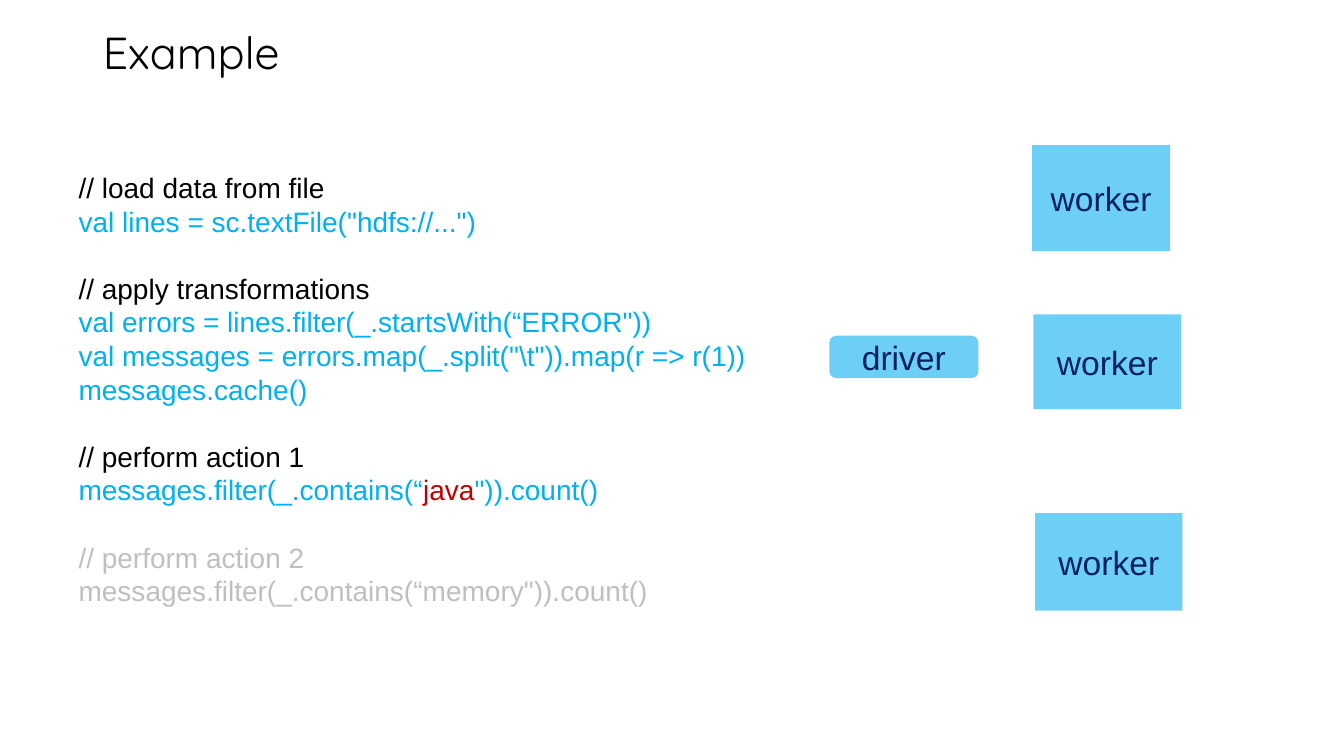
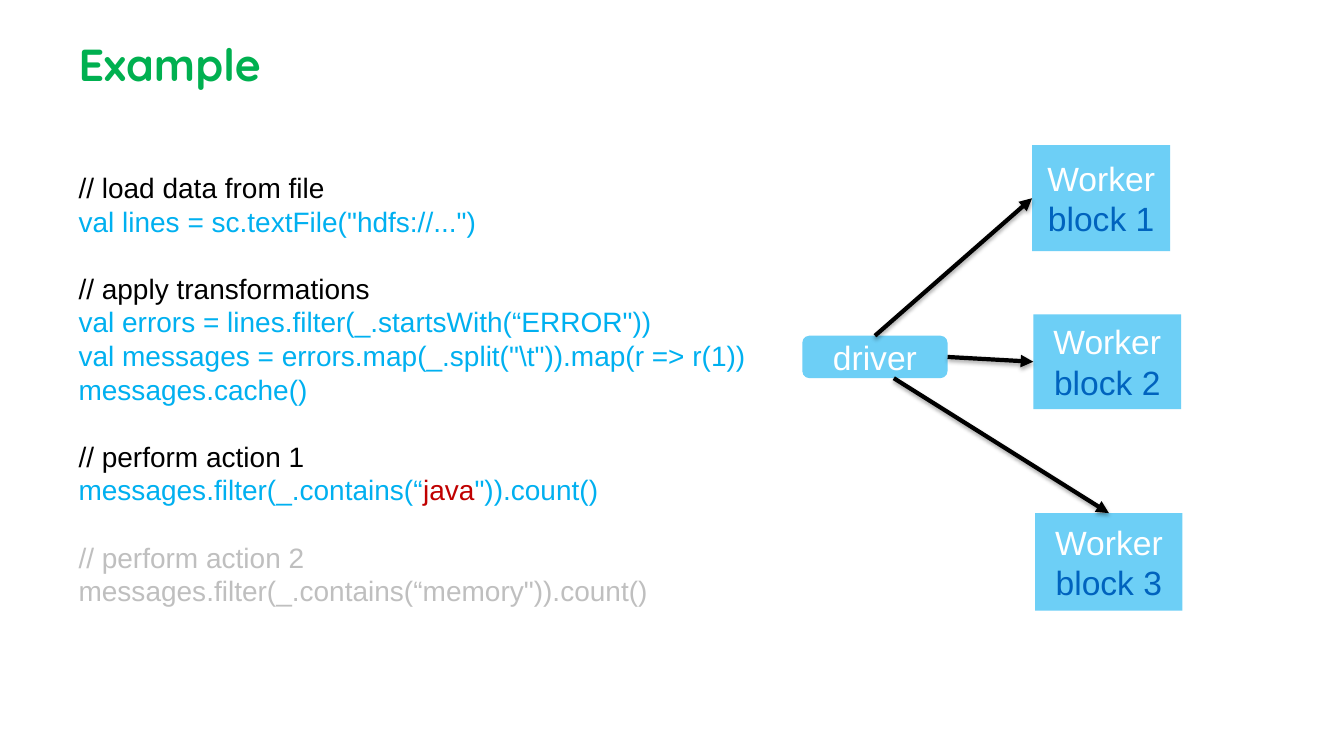
from dataclasses import dataclass
from typing import NamedTuple, Optional

from lxml import etree
from pptx import Presentation
from pptx.dml.color import RGBColor
from pptx.enum.shapes import MSO_CONNECTOR, MSO_SHAPE
from pptx.enum.text import MSO_ANCHOR, PP_ALIGN
from pptx.oxml.ns import qn
from pptx.util import Cm, Pt

RECTANGLE = MSO_SHAPE.RECTANGLE
ROUNDED = MSO_SHAPE.ROUNDED_RECTANGLE
STRAIGHT = MSO_CONNECTOR.STRAIGHT
LEFT, CENTER = PP_ALIGN.LEFT, PP_ALIGN.CENTER
MIDDLE, BOTTOM = MSO_ANCHOR.MIDDLE, MSO_ANCHOR.BOTTOM
TITLE_ONLY = 5

COLOURS = {
    "black": "000000",
    "white": "FFFFFF",
    "green": "00B050",
    "box": "6DCFF6",
    "navy": "002060",
    "blue": "0063BE",
    "code": "00B0F0",
    "highlight": "C00000",
    "faded": "BFBFBF",
}
TITLE_FONT, BODY_FONT = "Quicksand", "Arial"
LINE_PITCH = 1.2  # line height as a multiple of the font size
CODE_SIZE, BOX_SIZE, TITLE_SIZE = 20, 24, 32


class Frame(NamedTuple):
    """Left, top, width and height in centimetres."""
    left: float
    top: float
    width: float
    height: float

    def lengths(self) -> tuple:
        return tuple(Cm(value) for value in self)


class Piece(NamedTuple):
    text: str
    colour: str


@dataclass(frozen=True)
class Box:
    frame: Frame
    lines: tuple
    kind: int = RECTANGLE


@dataclass(frozen=True)
class Arrow:
    """Fractions of the driver and worker boxes, with their connection sites."""
    start: tuple
    start_site: Optional[int]
    end: tuple
    end_site: int


@dataclass(frozen=True)
class Title:
    left: float
    top: float
    colour: str
    bold: bool


# Code listing: blocks of lines, each line made of coloured pieces
CODE_FRAME = Frame(1.73, 4.17, 17.55, 11.38)
CODE_BLOCKS = (
    (
        (Piece("// load data from file", "black"),),
        (Piece('val lines = sc.textFile("hdfs://...")', "code"),),
    ),
    (
        (Piece("// apply transformations", "black"),),
        (Piece('val errors = lines.filter(_.startsWith(“ERROR"))', "code"),),
        (Piece('val messages = errors.map(_.split("\\t")).map(r => r(1))', "code"),),
        (Piece("messages.cache()", "code"),),
    ),
    (
        (Piece("// perform action 1", "black"),),
        (
            Piece("messages.filter(_.contains(“", "code"),
            Piece("java", "highlight"),
            Piece('")).count()', "code"),
        ),
    ),
    (
        (Piece("// perform action 2", "faded"),),
        (Piece('messages.filter(_.contains(“memory")).count()', "faded"),),
    ),
)

# Cluster diagram
WORKER_FRAMES = (
    Frame(26.01, 3.66, 3.48, 2.67),
    Frame(26.04, 7.92, 3.73, 2.39),
    Frame(26.09, 12.93, 3.71, 2.46),
)
ARROWS = (
    Arrow((0.5, 0), 0, (0, 0.5), 1),
    Arrow((1, 0.5), 3, (0, 0.5), 1),
    Arrow((0.63, 1), None, (0.5, 0), 0),
)


def colour(name: str) -> RGBColor:
    return RGBColor.from_string(COLOURS[name])


def format_paragraph(paragraph, size: int, alignment) -> None:
    paragraph.alignment = alignment
    paragraph.line_spacing = Pt(size * LINE_PITCH)
    paragraph.font.size = Pt(size)
    paragraph.font.name = BODY_FONT


def next_paragraph(text_frame, index: int):
    return text_frame.add_paragraph() if index else text_frame.paragraphs[0]


def add_title(slide, title: Title) -> None:
    shape = slide.shapes.title
    frame = Frame(title.left, title.top, 29.21, 2.03)
    shape.left, shape.top, shape.width, shape.height = frame.lengths()
    text_frame = shape.text_frame
    text_frame.vertical_anchor = BOTTOM
    text_frame.margin_left = text_frame.margin_right = Cm(0.25)
    text_frame.margin_top = text_frame.margin_bottom = Cm(0.25)
    text_frame.text = "Example"
    paragraph = text_frame.paragraphs[0]
    paragraph.alignment = LEFT
    paragraph.font.name = TITLE_FONT
    paragraph.font.size = Pt(TITLE_SIZE)
    paragraph.font.bold = title.bold
    paragraph.font.color.rgb = colour(title.colour)


def add_code(slide) -> None:
    text_frame = slide.shapes.add_textbox(*CODE_FRAME.lengths()).text_frame
    text_frame.word_wrap = True
    index = 0
    for block_number, block in enumerate(CODE_BLOCKS):
        for line_number, line in enumerate(block):
            paragraph = next_paragraph(text_frame, index)
            format_paragraph(paragraph, CODE_SIZE, LEFT)
            if block_number and not line_number:
                paragraph.space_before = Pt(CODE_SIZE * LINE_PITCH)
            for piece in line:
                run = paragraph.add_run()
                run.text = piece.text
                run.font.color.rgb = colour(piece.colour)
            index += 1


def add_box(slide, box: Box):
    shape = slide.shapes.add_shape(box.kind, *box.frame.lengths())
    shape.shadow.inherit = False
    shape.fill.solid()
    shape.fill.fore_color.rgb = colour("box")
    shape.line.fill.background()
    shape.text_frame.vertical_anchor = MIDDLE
    for index, piece in enumerate(box.lines):
        paragraph = next_paragraph(shape.text_frame, index)
        paragraph.text = piece.text
        format_paragraph(paragraph, BOX_SIZE, CENTER)
        paragraph.font.color.rgb = colour(piece.colour)
    return shape


def point_on(shape, fractions: tuple) -> tuple:
    across, down = fractions
    return (int(shape.left + across * shape.width),
            int(shape.top + down * shape.height))


def add_arrow(slide, driver, worker, arrow: Arrow) -> None:
    connector = slide.shapes.add_connector(
        STRAIGHT, *point_on(driver, arrow.start), *point_on(worker, arrow.end))
    if arrow.start_site is not None:
        connector.begin_connect(driver, arrow.start_site)
    connector.end_connect(worker, arrow.end_site)
    connector.line.width = Pt(3)
    connector.line.color.rgb = colour("black")
    # Arrowhead and soft shadow
    etree.SubElement(connector.line._get_or_add_ln(), qn("a:tailEnd"), type="triangle")
    effects = etree.SubElement(connector._element.spPr, qn("a:effectLst"))
    shadow = etree.SubElement(
        effects, qn("a:outerShdw"), blurRad=str(Pt(3.1)), dist=str(Pt(1.8)),
        dir="5400000", rotWithShape="0")
    shade = etree.SubElement(shadow, qn("a:srgbClr"), val=COLOURS["black"])
    etree.SubElement(shade, qn("a:alpha"), val="35000")


def add_example(presentation, title: Title, driver: Box, worker_lines: list,
                arrows: tuple = ()) -> None:
    slide = presentation.slides.add_slide(presentation.slide_layouts[TITLE_ONLY])
    add_title(slide, title)
    driver_shape = add_box(slide, driver)
    workers = [add_box(slide, Box(frame, lines))
               for frame, lines in zip(WORKER_FRAMES, worker_lines)]
    for worker, arrow in zip(workers, arrows):
        add_arrow(slide, driver_shape, worker, arrow)
    add_code(slide)


def main() -> None:
    presentation = Presentation()
    presentation.slide_width, presentation.slide_height = Cm(33.87), Cm(19.05)

    # Idle cluster
    add_example(
        presentation,
        Title(2.34, 0.2, "black", False),
        Box(Frame(20.9, 8.46, 3.76, 1.07), (Piece("driver", "navy"),), ROUNDED),
        [(Piece("worker", "navy"),)] * len(WORKER_FRAMES),
    )

    # Driver sends work to the blocks
    add_example(
        presentation,
        Title(1.73, 0.51, "green", True),
        Box(Frame(20.22, 8.46, 3.66, 1.07), (Piece("driver", "white"),), ROUNDED),
        [(Piece("Worker", "white"), Piece(f"block {number}", "blue"))
         for number in range(1, len(WORKER_FRAMES) + 1)],
        ARROWS,
    )
    presentation.save("out.pptx")


if __name__ == "__main__":
    main()
